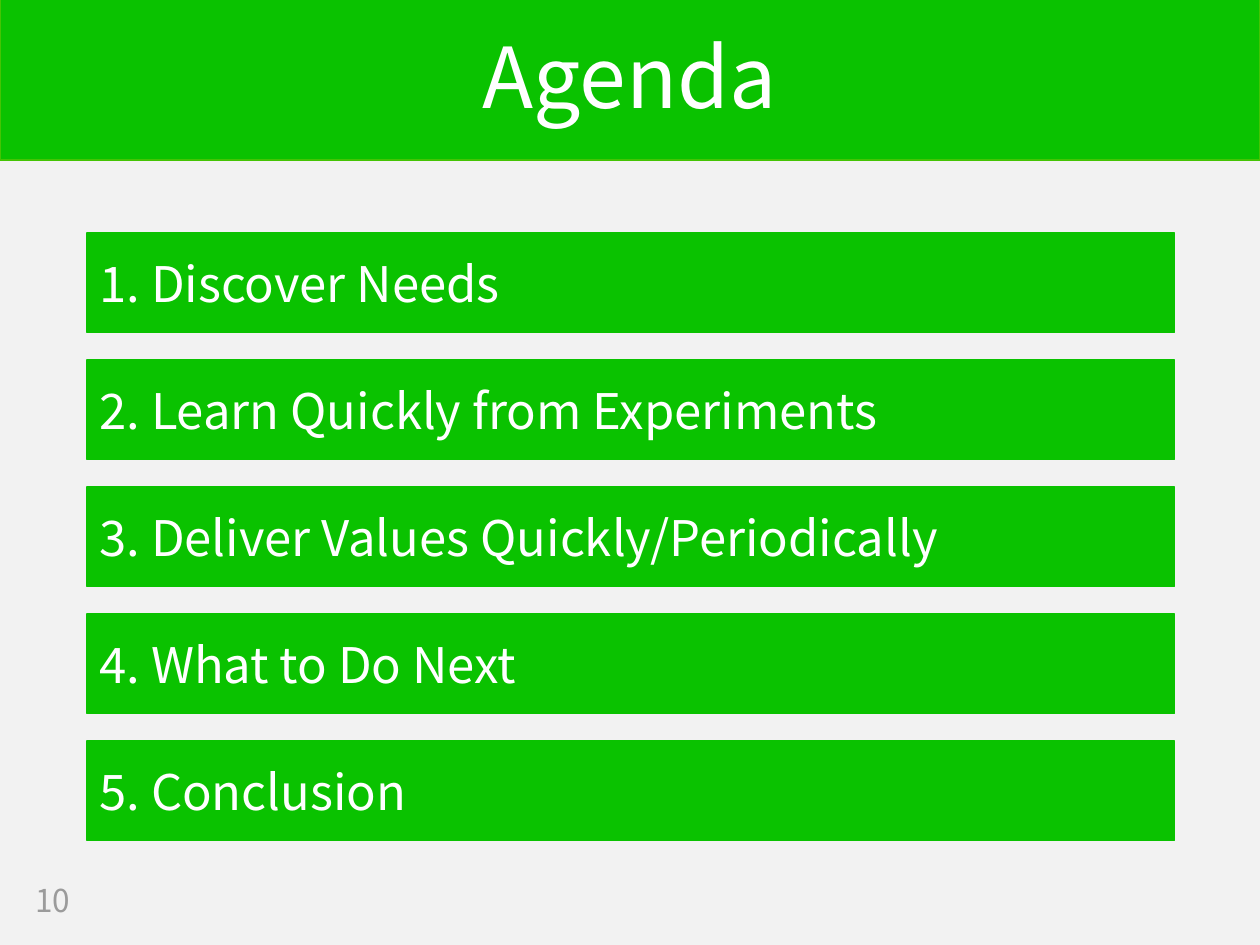
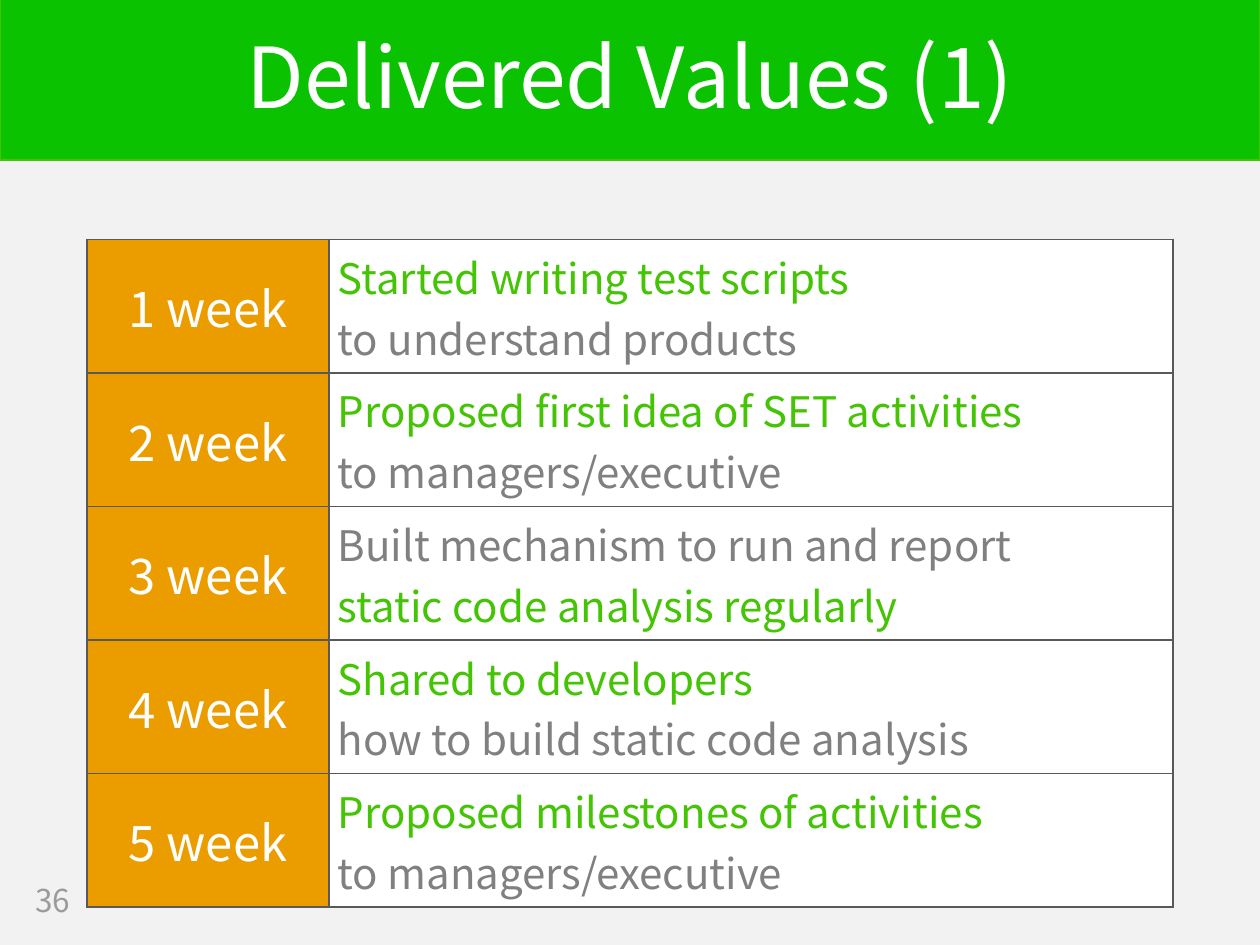
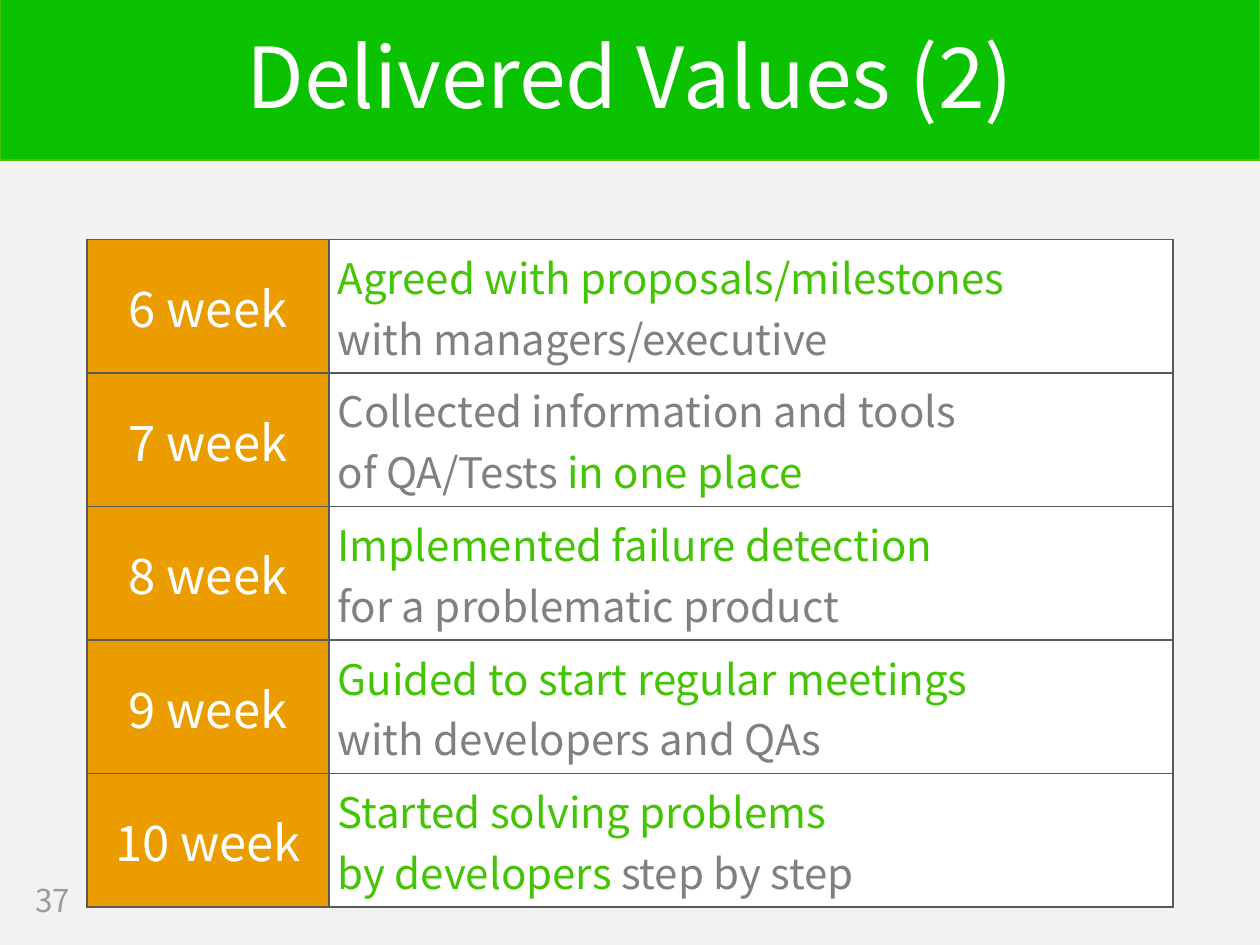
from lxml import etree
from pptx import Presentation
from pptx.dml.color import RGBColor
from pptx.enum import shapes, text
from pptx.oxml.ns import qn
from pptx.util import Inches, Pt

FONT = "Noto Sans CJK JP"
GREEN, LIME, AMBER = "0AC200", "44C404", "EB9D00"
WHITE, PALE, GRAY, RULE, FAINT = "FFFFFF", "F2F2F2", "808080", "595959", "9B9B9B"
LEFT = 0.69

AGENDA = [
    "Discover Needs",
    "Learn Quickly from Experiments",
    "Deliver Values Quickly/Periodically",
    "What to Do Next",
    "Conclusion",
]

# Words between asterisks are highlighted.
WEEKS = [
    ("*Started writing test scripts*", "to understand products"),
    ("*Proposed first idea of SET activities*", "to managers/executive"),
    ("Built mechanism to run and report", "*static code analysis regularly*"),
    ("*Shared to developers*", "how to build static code analysis"),
    ("*Proposed milestones of activities*", "to managers/executive"),
    ("*Agreed with proposals/milestones*", "with managers/executive"),
    ("Collected information and tools", "of QA/Tests *in one place*"),
    ("*Implemented failure detection*", "for a problematic product"),
    ("*Guided to start regular meetings*", "with developers and QAs"),
    ("*Started solving problems*", "*by developers* step by step"),
]


def rgb(code):
    return RGBColor.from_string(code)


def write(frame, lines, size, color, align=text.PP_ALIGN.LEFT, spacing=None):
    """Fill a text frame, one paragraph a line, with starred words in lime."""
    for i, line in enumerate(lines):
        para = frame.add_paragraph() if i else frame.paragraphs[0]
        para.alignment = align
        if spacing:
            para.line_spacing = spacing
        for j, part in enumerate(line.split("*")):
            if part:
                run = para.add_run()
                run.text = part
                form = {"name": FONT, "size": Pt(size)}
                for key, value in form.items():
                    setattr(run.font, key, value)
                run.font.color.rgb = rgb(LIME if j % 2 else color)


def add_bar(slide, box, line, width):
    bar = slide.shapes.add_shape(shapes.MSO_SHAPE.RECTANGLE, *map(Inches, box))
    bar.shadow.inherit = False
    bar.fill.solid()
    bar.fill.fore_color.rgb = rgb(GREEN)
    bar.line.color.rgb = rgb(line)
    bar.line.width = Pt(width)
    return bar


def add_label(slide, box, *style):
    frame = slide.shapes.add_textbox(*map(Inches, box)).text_frame
    frame.word_wrap = True
    frame.vertical_anchor = text.MSO_ANCHOR.MIDDLE
    write(frame, *style)


def add_page(deck, title, number):
    slide = deck.slides.add_slide(deck.slide_layouts[6])
    slide.background.fill.solid()
    slide.background.fill.fore_color.rgb = rgb(PALE)
    add_bar(slide, (0, -0.01, 10, 1.28), LIME, 1)
    add_label(slide, (0, 0.36, 10, 0.57), [title], 48, WHITE,
              text.PP_ALIGN.CENTER, 0.9)
    add_label(slide, (0.18, 6.95, 0.79, 0.39), [str(number)], 18, FAINT)
    return slide


def add_agenda(slide):
    for i, item in enumerate(AGENDA):
        bar = add_bar(slide, (LEFT, 1.85 + i * 1.008, 8.63, 0.79), GREEN, 0.75)
        bar.text_frame.vertical_anchor = text.MSO_ANCHOR.MIDDLE
        write(bar.text_frame, [f"{i + 1}. {item}"], 28, WHITE)


def style_cell(cell, color):
    form = {
        "vertical_anchor": text.MSO_ANCHOR.MIDDLE,
        "margin_left": Inches(0.07), "margin_right": Inches(0.07),
        "margin_top": Inches(0.05), "margin_bottom": Inches(0.05),
    }
    for key, value in form.items():
        setattr(cell, key, value)
    cell.fill.solid()
    cell.fill.fore_color.rgb = rgb(color)
    props = cell._tc.get_or_add_tcPr()
    for i, side in enumerate(("lnL", "lnR", "lnT", "lnB")):
        edge = etree.Element(qn(f"a:{side}"), w=str(Pt(1)))
        fill = etree.SubElement(edge, qn("a:solidFill"))
        etree.SubElement(fill, qn("a:srgbClr"), val=RULE)
        props.insert(i, edge)


def add_weeks(slide, first, weeks):
    widths, height = (1.92, 6.7), 1.06
    box = (LEFT, 1.9, sum(widths), height * len(weeks))
    table = slide.shapes.add_table(len(weeks), 2, *map(Inches, box)).table
    table.first_row = table.horz_banding = False
    for col, width in zip(table.columns, widths):
        col.width = Inches(width)
    for i, lines in enumerate(weeks):
        week, value = table.cell(i, 0), table.cell(i, 1)
        style_cell(week, AMBER)
        style_cell(value, WHITE)
        write(week.text_frame, [f"{first + i} week"], 28, WHITE,
              text.PP_ALIGN.CENTER)
        write(value.text_frame, lines, 24, GRAY)


def main():
    deck = Presentation()
    deck.slide_width, deck.slide_height = Inches(10), Inches(7.5)
    add_agenda(add_page(deck, "Agenda", 10))
    for part in range(2):
        slide = add_page(deck, f"Delivered Values ({part + 1})", 36 + part)
        start = part * 5
        add_weeks(slide, start + 1, WEEKS[start:start + 5])
    deck.save("out.pptx")


if __name__ == "__main__":
    main()
